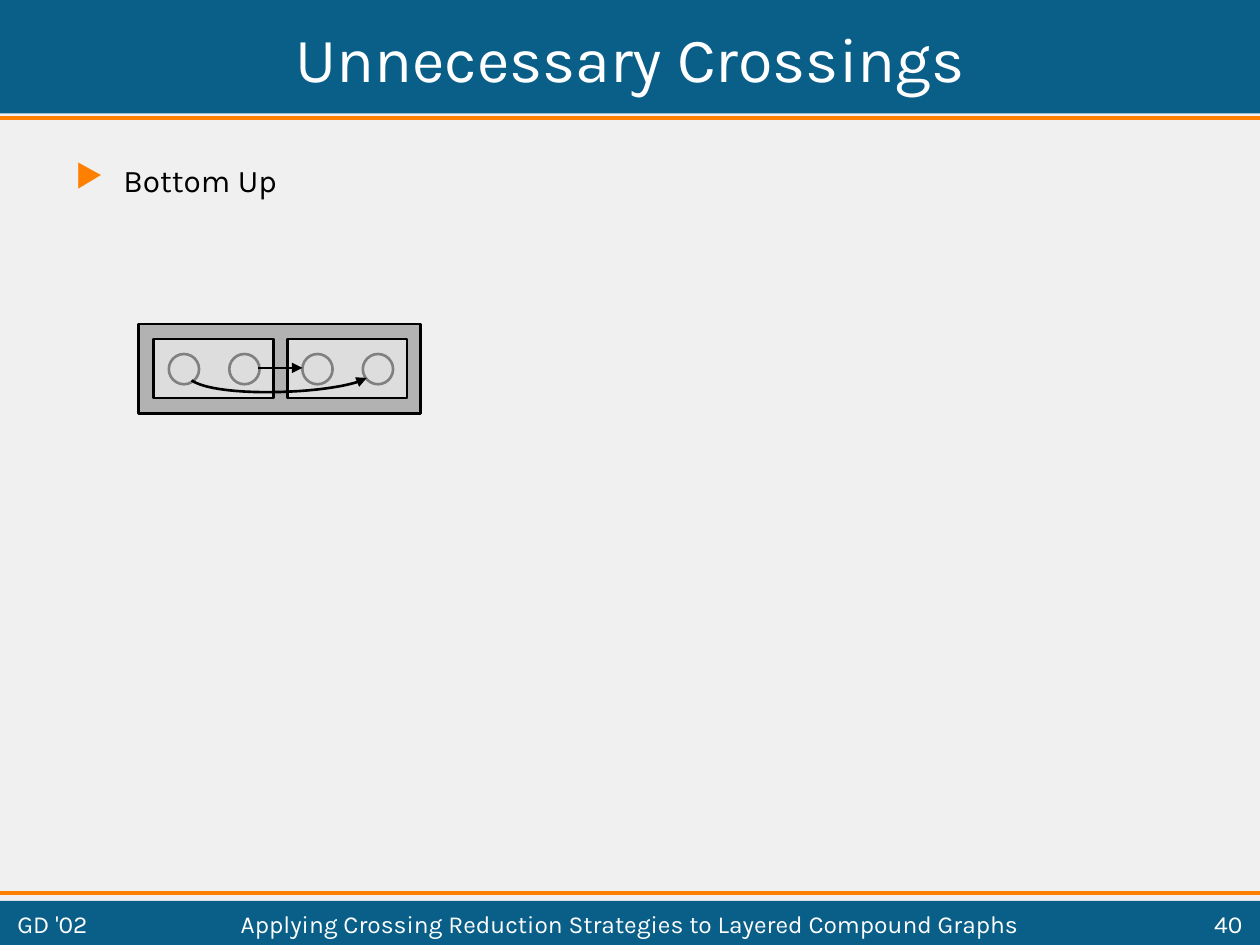
from lxml.etree import SubElement
from pptx import Presentation
from pptx.dml.color import RGBColor
from pptx.enum.shapes import MSO_CONNECTOR as Link, MSO_SHAPE as Preset
from pptx.enum.text import MSO_ANCHOR as Anchor, MSO_AUTO_SIZE as Fit, PP_ALIGN as Align
from pptx.oxml.ns import qn
from pptx.util import Inches, Pt

FONT = "Karla"
BLUE, ORANGE, WHITE, BLACK = "0A5F89", "FF7F00", "FFFFFF", "000000"
PAPER, OUTER_GRAY, INNER_GRAY, NODE_GRAY = "F0F0F0", "B2B2B2", "DDDDDD", "808080"


def color(value):
    return RGBColor.from_string(value)


class Painter:
    """Holds the style and the current slide and draws its elements."""

    def __init__(self, deck):
        self.page = deck.slides.add_slide(deck.slide_layouts[5])
        self.shapes = self.page.shapes
        fill = self.page.background.fill
        fill.solid()
        fill.fore_color.rgb = color(PAPER)

    def shape(self, preset, left, top, width, height, fill=None, line=None):
        box = self.shapes.add_shape(
            preset, Inches(left), Inches(top), Inches(width), Inches(height))
        box.shadow.inherit = False
        if fill:
            box.fill.solid()
            box.fill.fore_color.rgb = color(fill)
        else:
            box.fill.background()
        if line:
            self.stroke(box, line)
        else:
            box.line.fill.background()

    def stroke(self, item, value, width=1.5, arrow=False):
        item.line.color.rgb = color(value)
        item.line.width = Pt(width)
        if arrow:
            outline = item._element.spPr.find(qn("a:ln"))
            SubElement(outline, qn("a:tailEnd"), type="triangle")

    def line(self, start, end, value=BLACK, width=1.5, arrow=False):
        link = self.shapes.add_connector(
            Link.STRAIGHT, *(Inches(number) for number in start + end))
        self.stroke(link, value, width, arrow)
        SubElement(link._element.spPr, qn("a:effectLst"))

    def curve(self, controls, steps=24):
        points = []
        for step in range(steps + 1):
            t = step / steps
            weights = ((1 - t) ** 3, 3 * t * (1 - t) ** 2, 3 * t * t * (1 - t), t ** 3)
            points.append(tuple(
                Inches(sum(w * p for w, p in zip(weights, axis)))
                for axis in zip(*controls)))
        builder = self.shapes.build_freeform(*points[0])
        builder.add_line_segments(points[1:], close=False)
        arc = builder.convert_to_shape()
        arc.shadow.inherit = False
        arc.fill.background()
        self.stroke(arc, BLACK, arrow=True)

    def fill_text(self, box, text, size, value, align, anchor):
        frame = box.text_frame
        frame.word_wrap = True
        frame.auto_size = Fit.NONE
        frame.vertical_anchor = anchor
        para = frame.paragraphs[0]
        para.alignment = align
        span = para.add_run()
        span.text = text
        span.font.name = FONT
        span.font.size = Pt(size)
        span.font.color.rgb = color(value)
        return para

    def text(self, left, top, width, height, text, size=14, value=WHITE,
             align=Align.LEFT, anchor=Anchor.MIDDLE):
        box = self.shapes.add_textbox(
            Inches(left), Inches(top), Inches(width), Inches(height))
        return self.fill_text(box, text, size, value, align, anchor)

    def title(self, text):
        box = self.shapes.title
        box.left, box.top = Inches(0.04), Inches(0.04)
        box.width, box.height = Inches(9.92), Inches(0.83)
        self.fill_text(box, text, 36, WHITE, Align.CENTER, Anchor.MIDDLE)
        box._element.getparent().append(box._element)

    def bullet(self, left, top, width, height, text):
        para = self.text(left, top, width, height, text, 18, BLACK, anchor=Anchor.TOP)
        para.space_before = Pt(11.2)
        props = para._p.get_or_add_pPr()
        indent = Inches(0.38)
        props.set("marL", str(indent))
        props.set("indent", str(-indent))
        SubElement(SubElement(props, qn("a:buClr")), qn("a:srgbClr"), val=ORANGE)
        SubElement(props, qn("a:buChar"), char="▶")


def main():
    deck = Presentation()
    deck.slide_width, deck.slide_height = Inches(10), Inches(7.5)
    painter = Painter(deck)

    for top, height in ((0, 0.9), (7.15, 0.35)):
        painter.shape(Preset.RECTANGLE, 0, top, 10, height, BLUE)
    for y in (0.94, 7.09):
        painter.line((0, y), (10, y), ORANGE, 2.25)
    painter.title("Unnecessary Crossings")
    painter.bullet(0.5, 1.23, 4.42, 5.67, "Bottom Up")

    painter.shape(Preset.RECTANGLE, 1.1, 2.57, 2.24, 0.71, OUTER_GRAY, BLACK)
    for left in (1.22, 2.28):
        painter.shape(Preset.RECTANGLE, left, 2.69, 0.95, 0.47, INNER_GRAY, BLACK)
        for offset in (0.12, 0.6):
            painter.shape(Preset.OVAL, left + offset, 2.81, 0.24, 0.24, line=NODE_GRAY)
    painter.line((2.05, 2.92), (2.4, 2.92), arrow=True)
    painter.curve(((1.52, 3.02), (1.75, 3.17), (2.72, 3.12), (2.91, 3)))

    footer = (
        (0.04, 1.18, "GD '02", Align.LEFT),
        (1.3, 7.4, "Applying Crossing Reduction Strategies to Layered Compound Graphs",
         Align.CENTER),
        (8.78, 1.18, "40", Align.RIGHT),
    )
    for left, width, text, align in footer:
        painter.text(left, 7.19, width, 0.28, text, align=align)
    deck.save("out.pptx")


if __name__ == "__main__":
    main()
